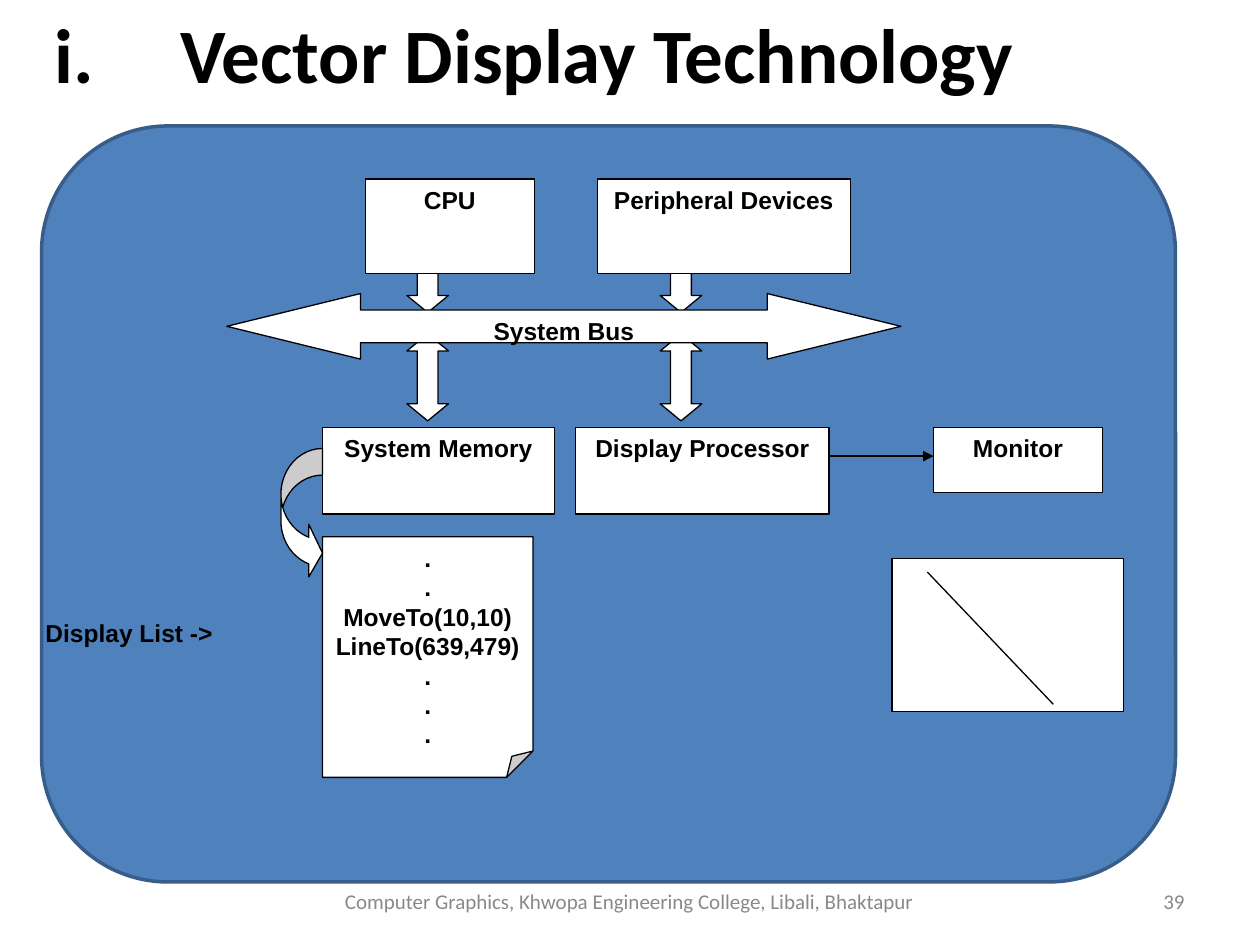
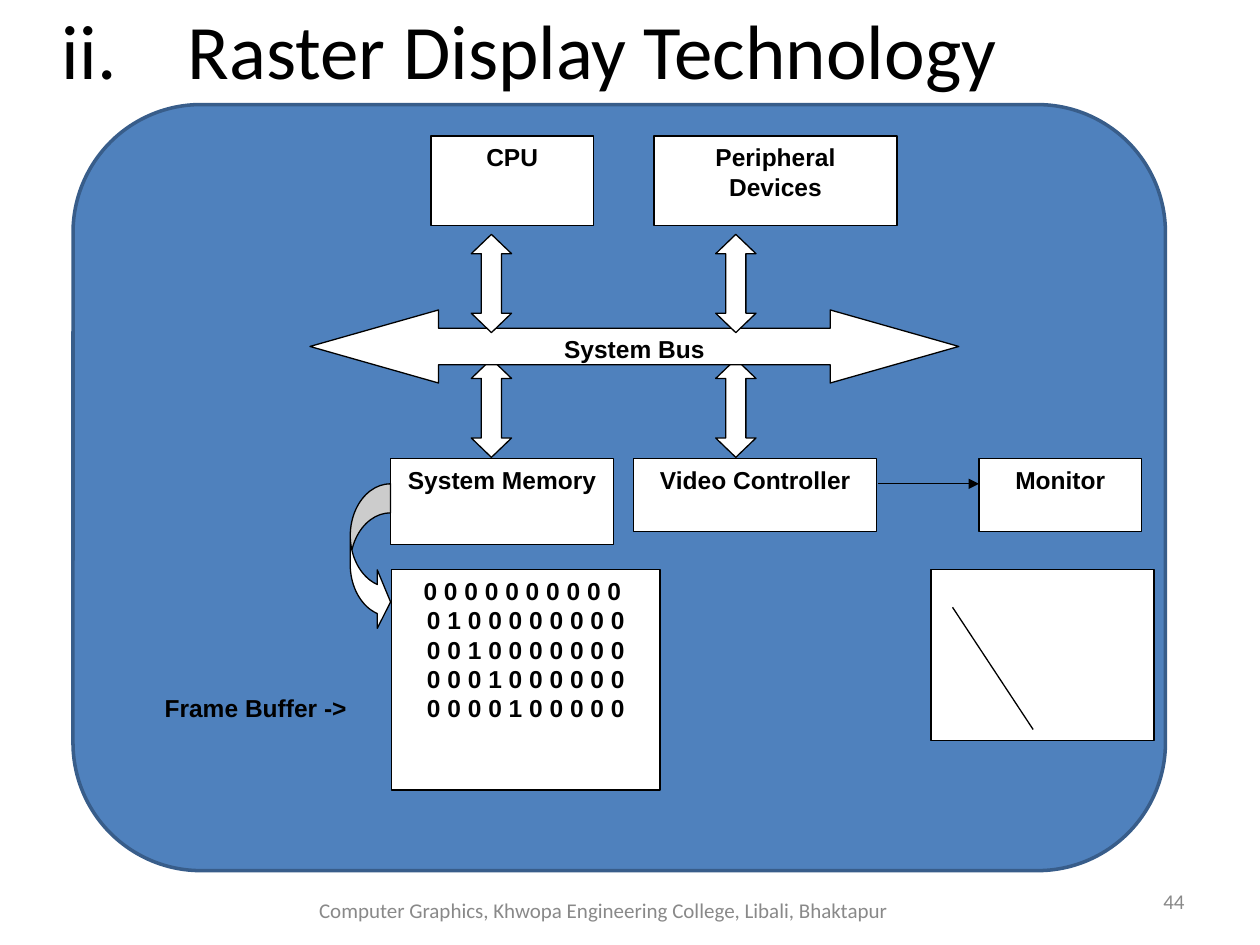
import pptx
import pptx.util
import pptx.dml.color
import pptx.enum.shapes
import pptx.enum.text
import pptx.oxml.ns
import lxml.etree

Inches = pptx.util.Inches
Pt = pptx.util.Pt
RGBColor = pptx.dml.color.RGBColor
SHAPE = pptx.enum.shapes.MSO_SHAPE
ANCHOR = pptx.enum.text.MSO_ANCHOR
ALIGN = pptx.enum.text.PP_ALIGN
qn = pptx.oxml.ns.qn

BLACK = RGBColor(0x00, 0x00, 0x00)
WHITE = RGBColor(0xFF, 0xFF, 0xFF)
PANEL_BLUE = RGBColor(0x4F, 0x81, 0xBD)
PANEL_EDGE = RGBColor(0x38, 0x5D, 0x8A)
FOOTER_GRAY = RGBColor(0x89, 0x89, 0x89)
FOOTER = "Computer Graphics, Khwopa Engineering College, Libali, Bhaktapur"


def write_text(shape, text, font_name, size, color, bold, align, anchor):
    text_frame = shape.text_frame
    text_frame.text = text
    text_frame.vertical_anchor = anchor
    for paragraph in text_frame.paragraphs:
        paragraph.alignment = align
        for run in paragraph.runs:
            run.font.name = font_name
            run.font.size = Pt(size)
            run.font.bold = bold
            run.font.color.rgb = color


def add_block(slide, kind, box, text="", adjustments=(), fill=WHITE, edge=BLACK, weight=0.75):
    shape = slide.shapes.add_shape(kind, *[Inches(length) for length in box])
    shape.shadow.inherit = False
    shape.fill.solid()
    shape.fill.fore_color.rgb = fill
    shape.line.color.rgb = edge
    shape.line.width = Pt(weight)
    guides = shape._element.spPr.find(qn("a:prstGeom")).find(qn("a:avLst"))
    for guide in list(guides):
        guides.remove(guide)
    for index, value in enumerate(adjustments, start=1):
        guide_name = "adj" if len(adjustments) == 1 else f"adj{index}"
        lxml.etree.SubElement(guides, qn("a:gd"), name=guide_name, fmla=f"val {round(value * 100000)}")
    if text:
        write_text(shape, text, "Arial", 14, BLACK, True, ALIGN.CENTER, ANCHOR.TOP)


vector_display = {
    "title": "i.\tVector Display Technology", "title_top": 0, "title_anchor": ANCHOR.TOP,
    "title_inset": 0.43, "title_bold": True,
    "panel": (0.33, 1, 9, 6),
    "blocks": [
        *[(SHAPE.UP_DOWN_ARROW, (left, top, 0.33, 0.69), "", (0.5, 0.41))
          for top in (1.79, 2.65) for left in (3.23, 5.24)],
        (SHAPE.RECTANGLE, (2.9, 1.42, 1.34, 0.75), "CPU"),
        (SHAPE.RECTANGLE, (4.74, 1.42, 2.01, 0.75), "Peripheral Devices"),
        (SHAPE.RECTANGLE, (2.56, 3.39, 1.84, 0.69), "System Memory"),
        (SHAPE.RECTANGLE, (4.57, 3.39, 2.01, 0.69), "Display Processor"),
        (SHAPE.RECTANGLE, (7.41, 3.39, 1.34, 0.52), "Monitor"),
        (SHAPE.FOLDED_CORNER, (2.56, 4.26, 1.67, 1.91),
         ".\n.\nMoveTo(10,10)\nLineTo(639,479)\n.\n.\n.", (0.125,)),
        (SHAPE.CURVED_RIGHT_ARROW, (2.23, 3.56, 0.33, 1.04), "", (0.64, 1.27, 0.33)),
        (SHAPE.RECTANGLE, (7.08, 4.43, 1.84, 1.22)),
        (SHAPE.LEFT_RIGHT_ARROW, (1.8, 2.33, 5.35, 0.52), "System Bus", (0.5, 2.04)),
    ],
    "monitor_arrow": (6.58, 3.62, 7.41, 3.62),
    "screen_line": (7.36, 4.54, 8.36, 5.59),
    "label": "Display List ->", "label_box": (0.26, 4.86, 1.53, 0.32),
    "number": "39", "footer_box": (2.58, 6.95, 4.83, 0.4),
}

bit_rows = ["0 0 0 0 0 0 0 0 0 0 "]
for one_column in range(1, 5):
    bit_rows.append(" ".join("1" if column == one_column else "0" for column in range(10)))

raster_display = {
    "title": "ii.\tRaster Display Technology", "title_top": -0.42, "title_anchor": ANCHOR.MIDDLE,
    "title_inset": 0.49, "title_bold": False,
    "panel": (0.58, 0.83, 8.67, 6.08),
    "blocks": [
        *[(SHAPE.UP_DOWN_ARROW, (left, 2.85, 0.32, 0.78), "", (0.5, 0.48)) for left in (3.74, 5.68)],
        (SHAPE.RECTANGLE, (3.42, 1.08, 1.29, 0.71), "CPU"),
        (SHAPE.RECTANGLE, (5.19, 1.08, 1.93, 0.71), "Peripheral Devices"),
        (SHAPE.RECTANGLE, (3.1, 3.64, 1.77, 0.68), "System Memory"),
        (SHAPE.RECTANGLE, (5.03, 3.64, 1.93, 0.58), "Video Controller"),
        (SHAPE.RECTANGLE, (7.77, 3.64, 1.29, 0.58), "Monitor"),
        (SHAPE.CURVED_RIGHT_ARROW, (2.78, 3.84, 0.32, 1.17), "", (0.72, 1.45, 0.33)),
        (SHAPE.RECTANGLE, (7.39, 4.52, 1.77, 1.36)),
        (SHAPE.RECTANGLE, (3.11, 4.52, 2.13, 1.75), "\n".join(bit_rows)),
        (SHAPE.LEFT_RIGHT_ARROW, (2.46, 2.46, 5.15, 0.58), "System Bus", (0.5, 1.76)),
        *[(SHAPE.UP_DOWN_ARROW, (left, 1.86, 0.32, 0.78), "", (0.5, 0.48)) for left in (3.74, 5.68)],
    ],
    "monitor_arrow": (6.97, 3.84, 7.77, 3.84),
    "screen_line": (7.56, 4.82, 8.2, 5.79),
    "label": "Frame Buffer ->", "label_box": (1.2, 5.46, 1.66, 0.32),
    "number": "44", "footer_box": (2, 7.02, 5.58, 0.4),
}

presentation = pptx.Presentation()
presentation.slide_width = Inches(10)
presentation.slide_height = Inches(7.5)

for diagram in (vector_display, raster_display):
    slide = presentation.slides.add_slide(presentation.slide_layouts[5])

    title = slide.shapes.title
    title.left, title.top = Inches(0), Inches(diagram["title_top"])
    title.width, title.height = Inches(8.5), Inches(1.61)
    write_text(title, diagram["title"], "Calibri", 44, BLACK, diagram["title_bold"],
               ALIGN.LEFT, diagram["title_anchor"])
    title.text_frame.auto_size = pptx.enum.text.MSO_AUTO_SIZE.NONE
    title.text_frame.margin_left = Inches(diagram["title_inset"])
    properties = title.text_frame.paragraphs[0]._p.get_or_add_pPr()
    tab_list = lxml.etree.SubElement(properties, qn("a:tabLst"))
    lxml.etree.SubElement(tab_list, qn("a:tab"), pos=str(int(Inches(1))), algn="l")

    add_block(slide, SHAPE.ROUNDED_RECTANGLE, diagram["panel"], "", (0.167,),
              PANEL_BLUE, PANEL_EDGE, 2)
    for block in diagram["blocks"]:
        add_block(slide, *block)

    for name in ("monitor_arrow", "screen_line"):
        connector = slide.shapes.add_connector(
            pptx.enum.shapes.MSO_CONNECTOR.STRAIGHT, *[Inches(length) for length in diagram[name]])
        connector.line.color.rgb = BLACK
        connector.line.width = Pt(0.75)
        if name == "monitor_arrow":
            lxml.etree.SubElement(connector.line._get_or_add_ln(), qn("a:tailEnd"), type="triangle")
        lxml.etree.SubElement(connector._element.spPr, qn("a:effectLst"))

    for text, box, font_name, size, color, bold, align, wrap in (
        (diagram["label"], diagram["label_box"], "Arial", 14, BLACK, True, ALIGN.CENTER, False),
        (diagram["number"], (7.17, 6.95, 2.33, 0.4), "Calibri", 12, FOOTER_GRAY, False, ALIGN.RIGHT, True),
        (FOOTER, diagram["footer_box"], "Calibri", 12, FOOTER_GRAY, False, ALIGN.CENTER, True),
    ):
        text_box = slide.shapes.add_textbox(*[Inches(length) for length in box])
        write_text(text_box, text, font_name, size, color, bold, align, ANCHOR.MIDDLE)
        text_box.text_frame.word_wrap = wrap

presentation.save("out.pptx")
